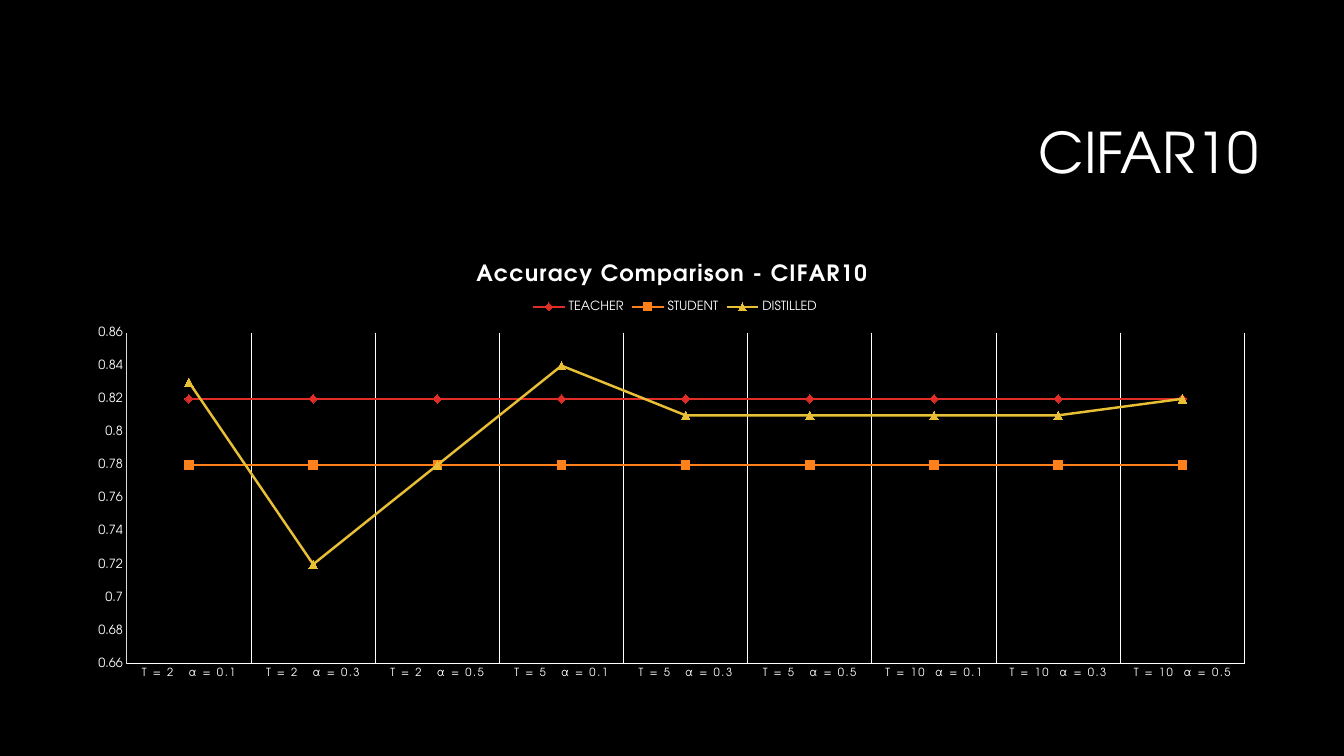
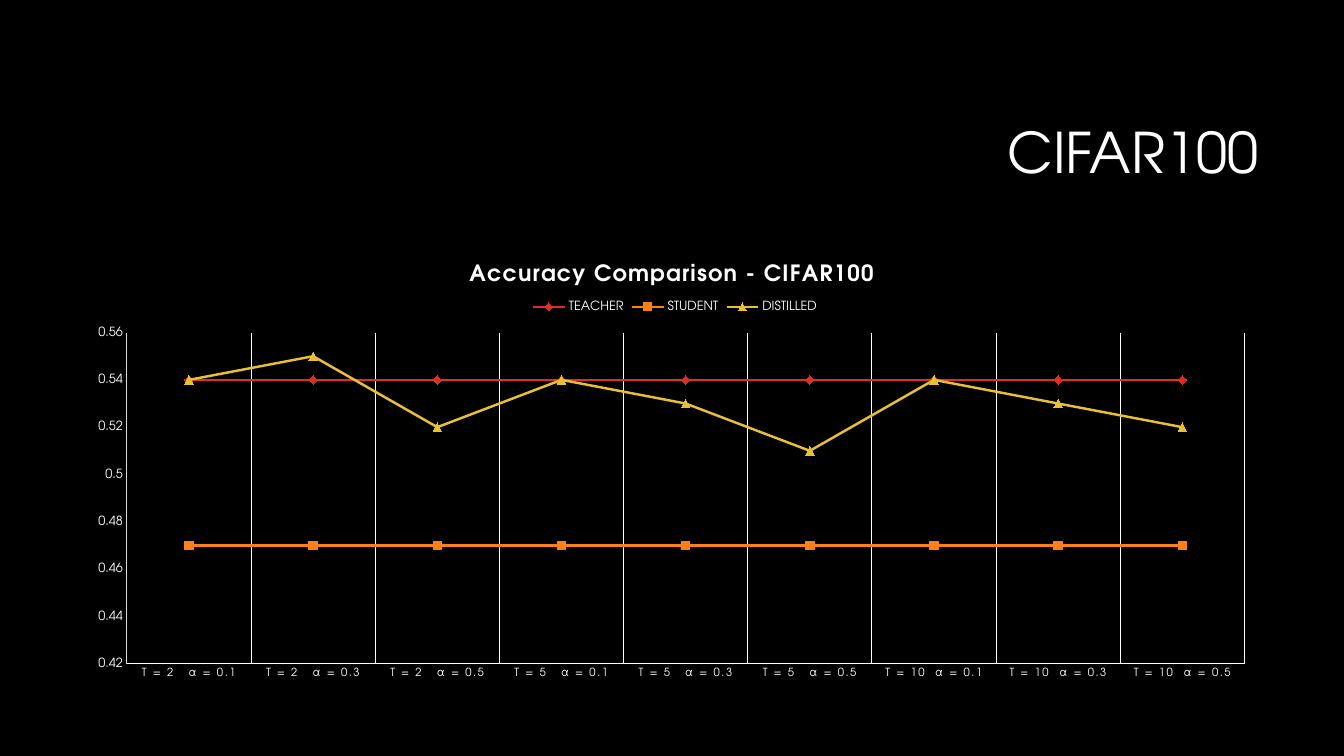
from itertools import product
from lxml.etree import SubElement
from pptx import Presentation
from pptx.chart.data import CategoryChartData
from pptx.dml.color import RGBColor
from pptx.enum.chart import XL_CHART_TYPE, XL_LEGEND_POSITION, XL_MARKER_STYLE, XL_TICK_MARK
from pptx.enum.text import MSO_ANCHOR, PP_ALIGN
from pptx.oxml.ns import qn
from pptx.util import Inches, Pt

FONT = "TeX Gyre Adventor"
WHITE, BLACK, GREY = "FFFFFF", "000000", "D9D9D9"
COLUMNS, ROWS = 160, 90
TITLE_BOX = (38, 10, 113, 17)
CHART_BOX = (9, 29, 142, 53)
PLOT_LAYOUT = {"layoutTarget": "inner", "xMode": "edge", "yMode": "edge",
               "x": 0.043, "y": 0.2, "w": 0.937, "h": 0.744}
LEGEND_LAYOUT = {"xMode": "edge", "yMode": "edge", "x": 0.38, "y": 0.12}
CATEGORIES = [f"T = {temperature:<2}  α = {alpha}"
              for temperature, alpha in product((2, 5, 10), (0.1, 0.3, 0.5))]
SERIES_STYLES = {
    "TEACHER": ("DF2E28", XL_MARKER_STYLE.DIAMOND),
    "STUDENT": ("FE801A", XL_MARKER_STYLE.SQUARE),
    "DISTILLED": ("E9BF35", XL_MARKER_STYLE.TRIANGLE),
}
RESULTS = [
    {"dataset": "CIFAR10", "teacher": 0.82, "student": 0.78,
     "distilled": [0.83, 0.72, 0.78, 0.84, 0.81, 0.81, 0.81, 0.81, 0.82],
     "scale": (0.66, 0.86)},
    {"dataset": "CIFAR100", "teacher": 0.54, "student": 0.47,
     "distilled": [0.54, 0.55, 0.52, 0.54, 0.53, 0.51, 0.54, 0.53, 0.52],
     "scale": (0.42, 0.56)},
]


def color(value):
    """Turn a hex string into a colour."""
    return RGBColor.from_string(value)


def apply(target, **values):
    """Set each given attribute on the target."""
    for name, value in values.items():
        setattr(target, name, value)


def style_font(font, size, bold=False):
    """Give a font the shared face and colour."""
    apply(font, name=FONT, size=Pt(size), bold=bold)
    font.color.rgb = color(WHITE)


def style_line(line, value, width):
    """Give a line its colour and its width in points."""
    line.color.rgb = color(value)
    line.width = Pt(width)


def grid_box(presentation, box):
    """Convert columns and rows of the grid to slide lengths."""
    column = presentation.slide_width / COLUMNS
    row = presentation.slide_height / ROWS
    return [round(cells * unit) for cells, unit in zip(box, (column, row) * 2)]


def set_layout(element, index, values):
    """Fix the place of a chart part as shares of the chart."""
    for layout in element.findall(qn("c:layout")):
        element.remove(layout)
    layout = SubElement(element, qn("c:layout"))
    element.insert(index, layout)
    manual = SubElement(layout, qn("c:manualLayout"))
    for name, value in values.items():
        SubElement(manual, qn(f"c:{name}")).set("val", str(value))


def add_title(slide, box, text):
    """Write the slide title, right aligned in its box."""
    frame = slide.shapes.add_textbox(*box).text_frame
    apply(frame, word_wrap=True, vertical_anchor=MSO_ANCHOR.MIDDLE)
    paragraph = frame.paragraphs[0]
    apply(paragraph, text=text, alignment=PP_ALIGN.RIGHT, line_spacing=0.9)
    style_font(paragraph.runs[0].font, 40)


def style_header(chart, dataset):
    """Format the chart title and the legend."""
    paragraph = chart.chart_title.text_frame.paragraphs[0]
    run = paragraph.add_run()
    run.text = f"Accuracy Comparison - {dataset}"
    style_font(run.font, 16, bold=True)
    run.font._element.set("spc", "100")
    chart.has_legend = True
    apply(chart.legend, position=XL_LEGEND_POSITION.TOP, include_in_layout=False)
    style_font(chart.legend.font, 9)
    set_layout(chart.legend._element, 1, LEGEND_LAYOUT)


def style_axes(chart, scale):
    """Format both axes and the vertical gridlines."""
    category_axis, value_axis = chart.category_axis, chart.value_axis
    for axis, size, line_color in ((category_axis, 8, WHITE), (value_axis, 9, GREY)):
        apply(axis, major_tick_mark=XL_TICK_MARK.NONE, minor_tick_mark=XL_TICK_MARK.NONE)
        style_font(axis.tick_labels.font, size)
        style_line(axis.format.line, line_color, 0.75)
    apply(value_axis, has_major_gridlines=False, major_unit=0.02,
          minimum_scale=scale[0], maximum_scale=scale[1])
    apply(value_axis.tick_labels, number_format="General", number_format_is_linked=False)
    category_axis.has_major_gridlines = True
    style_line(category_axis.major_gridlines.format.line, WHITE, 0.75)
    for properties in category_axis._element.iter(qn("a:defRPr")):
        properties.set("spc", "100")


def style_series(chart):
    """Give each series its line and marker."""
    for series in chart.plots[0].series:
        series_color, marker_style = SERIES_STYLES[series.name]
        series.smooth = False
        style_line(series.format.line, series_color, 1.75)
        apply(series.marker, style=marker_style, size=6)
        series.marker.format.fill.solid()
        series.marker.format.fill.fore_color.rgb = color(series_color)
        style_line(series.marker.format.line, series_color, 0.75)


def add_accuracy_chart(slide, box, result):
    """Draw the accuracy of the three models in the box."""
    data = CategoryChartData()
    data.categories = CATEGORIES
    count = len(CATEGORIES)
    values = ([result["teacher"]] * count, [result["student"]] * count, result["distilled"])
    for name, accuracies in zip(SERIES_STYLES, values):
        data.add_series(name, accuracies)
    chart = slide.shapes.add_chart(XL_CHART_TYPE.LINE_MARKERS, *box, data).chart
    chart.plots[0].vary_by_categories = False
    style_font(chart.font, 10)
    style_header(chart, result["dataset"])
    style_axes(chart, result["scale"])
    style_series(chart)
    set_layout(chart._chartSpace.find(f".//{qn('c:plotArea')}"), 0, PLOT_LAYOUT)


def add_result_slide(presentation, result):
    """Add one slide with a title and its chart."""
    slide = presentation.slides.add_slide(presentation.slide_layouts[6])
    add_title(slide, grid_box(presentation, TITLE_BOX), result["dataset"])
    add_accuracy_chart(slide, grid_box(presentation, CHART_BOX), result)


def main():
    """Build and save the presentation."""
    presentation = Presentation()
    apply(presentation, slide_width=Inches(13.33), slide_height=Inches(7.5))
    background = presentation.slide_master.background.fill
    background.solid()
    background.fore_color.rgb = color(BLACK)
    for result in RESULTS:
        add_result_slide(presentation, result)
    presentation.save("out.pptx")


if __name__ == "__main__":
    main()
